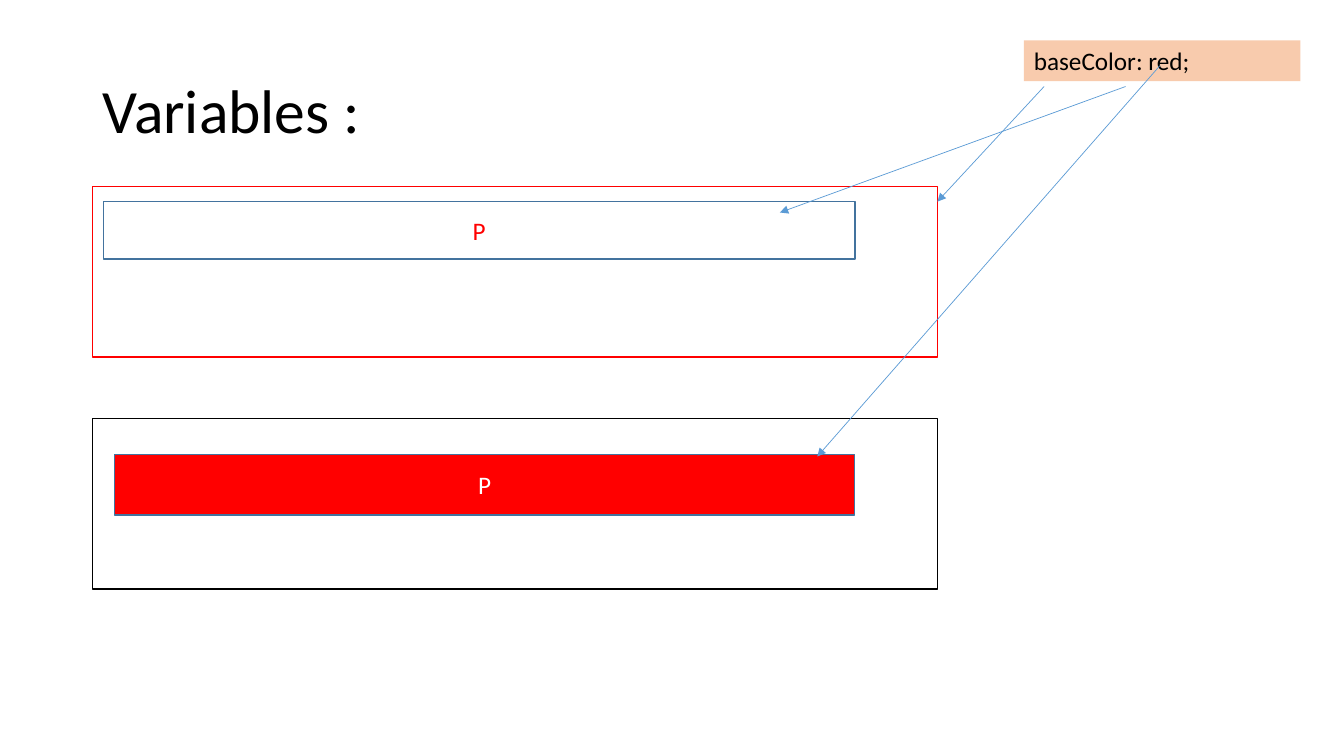
from pptx import Presentation, util as u
from pptx.dml.color import RGBColor
from pptx.enum import shapes, text
from pptx.oxml.ns import qn
from lxml import etree

COLORS = {"black": "000000", "white": "FFFFFF", "red": "FF0000",
          "outline": "43739E", "peach": "F8CBAD", "arrow": "5B9BD5"}
FONT = "Calibri"
COLUMNS, ROWS = 160, 90

presentation = Presentation()
presentation.slide_width = u.Inches(13.333)
presentation.slide_height = u.Inches(7.5)


def across(columns):
    return round(presentation.slide_width * columns / COLUMNS)


def down(rows):
    return round(presentation.slide_height * rows / ROWS)


def place(box):
    left, top, width, height = box
    return across(left), down(top), across(width), down(height)


def color(name):
    return RGBColor.from_string(COLORS[name])


def write(shape, words, size, color_name, align):
    frame = shape.text_frame
    frame.text = words
    frame.word_wrap = True
    paragraph = frame.paragraphs[0]
    paragraph.alignment = align
    font = paragraph.runs[0].font
    font.name, font.size = FONT, u.Pt(size)
    font.color.rgb = color(color_name)
    return frame


def add_title(slide, box, words):
    title = slide.shapes.title
    title.left, title.top, title.width, title.height = place(box)
    frame = write(title, words, 44, "black", text.PP_ALIGN.LEFT)
    frame.vertical_anchor = text.MSO_ANCHOR.MIDDLE
    frame.paragraphs[0].line_spacing = 0.9


def add_rectangle(slide, box, fill=None, line=None):
    shape = slide.shapes.add_shape(shapes.MSO_SHAPE.RECTANGLE, *place(box))
    shape.shadow.inherit = False
    if fill:
        shape.fill.solid()
        shape.fill.fore_color.rgb = color(fill)
    else:
        shape.fill.background()
    if line:
        shape.line.color.rgb = color(line)
        shape.line.width = u.Pt(1)
    else:
        shape.line.fill.background()
    return shape


def add_panel(slide, box, border, bar, bar_fill, letter_color):
    """Frame holding one paragraph bar, whose box is relative to the frame."""
    add_rectangle(slide, box, line=border)
    left, top, width, height = bar
    bar_box = (box[0] + left, box[1] + top, width, height)
    shape = add_rectangle(slide, bar_box, bar_fill, "outline")
    frame = write(shape, "P", 18, letter_color, text.PP_ALIGN.CENTER)
    frame.vertical_anchor = text.MSO_ANCHOR.MIDDLE


def add_variable(slide, box, words):
    shape = add_rectangle(slide, box, fill="peach")
    frame = write(shape, words, 18, "black", text.PP_ALIGN.LEFT)
    frame.vertical_anchor = text.MSO_ANCHOR.TOP
    frame.auto_size = text.MSO_AUTO_SIZE.SHAPE_TO_FIT_TEXT


def add_arrow(slide, source, start, target, end):
    """Arrow between two boxes; start and end are offsets inside them."""
    connector = slide.shapes.add_connector(
        shapes.MSO_CONNECTOR.STRAIGHT,
        across(source[0] + start[0]), down(source[1] + start[1]),
        across(target[0] + end[0]), down(target[1] + end[1]))
    connector.line.color.rgb = color("arrow")
    connector.line.width = u.Pt(0.5)
    line = connector.line._get_or_add_ln()
    etree.SubElement(line, qn("a:tailEnd"), type="triangle")
    etree.SubElement(connector._element.spPr, qn("a:effectLst"))


def build_variables_slide():
    slide = presentation.slides.add_slide(presentation.slide_layouts[5])
    upper = (11, 22.2, 100.6, 20.3)
    lower = (11, 49.8, 100.6, 20.3)
    variable = (121.9, 4.8, 32.9, 4.85)

    # Title
    add_title(slide, (11, 4.8, 138, 17.4), "Variables :")

    # Panels coloured by the variable
    add_panel(slide, upper, "red", (1.3, 1.8, 89.5, 6.85), None, "red")
    add_panel(slide, lower, "black", (2.65, 4.3, 88.1, 7.2), "red", "white")

    # Variable and the places that use it
    add_variable(slide, variable, "baseColor: red;")
    for start, target, end in [((2.4, 5.5), upper, (100.6, 1.8)),
                               ((12.1, 5.5), upper, (81.85, 3.1)),
                               ((16.2, 3), lower, (86.3, 4.55))]:
        add_arrow(slide, variable, start, target, end)


if __name__ == "__main__":
    build_variables_slide()
    presentation.save("out.pptx")
